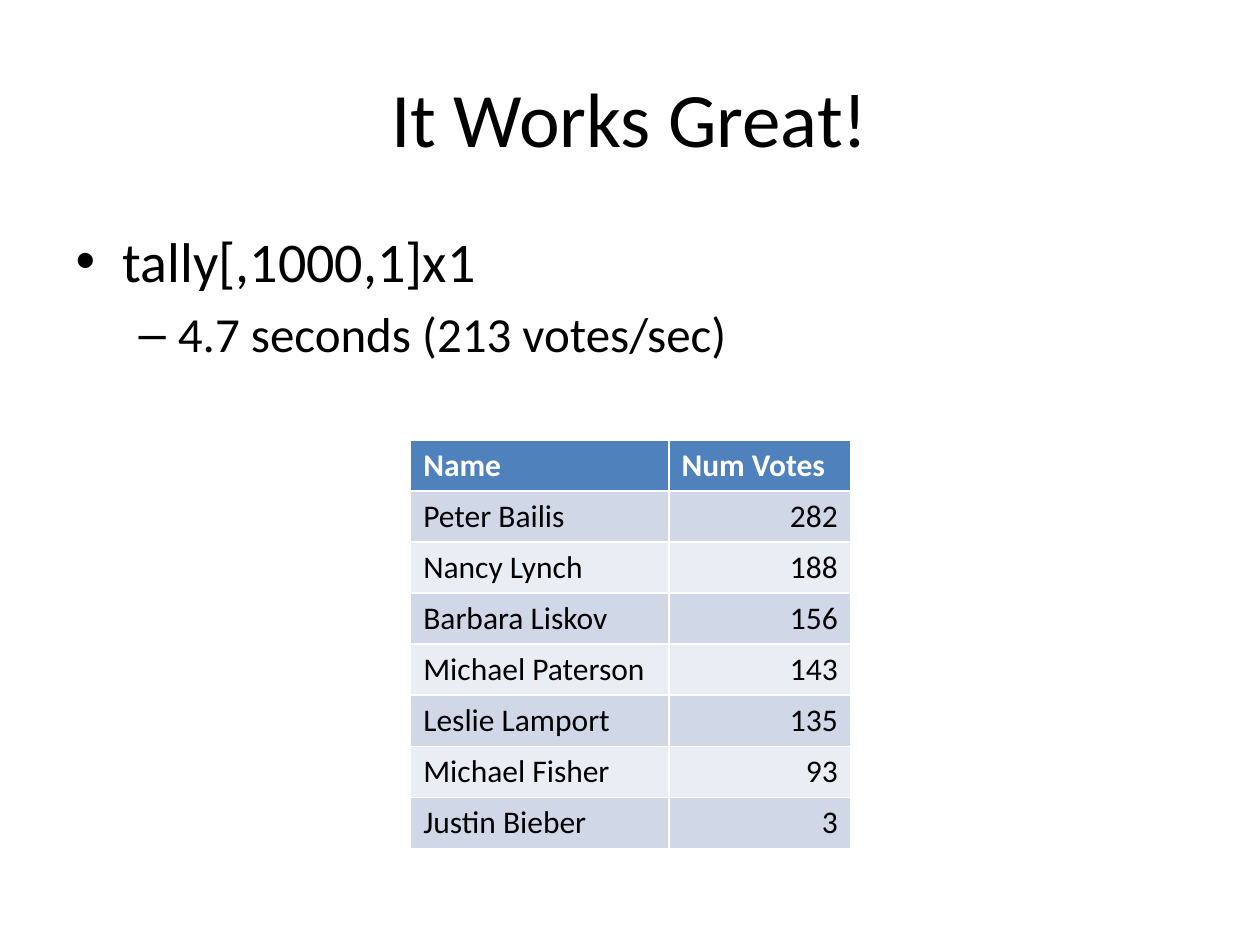
from pptx import Presentation
from pptx.dml.color import RGBColor
from pptx.enum.text import MSO_ANCHOR, PP_ALIGN
from pptx.util import Inches, Pt

BLACK, WHITE = "000000", "FFFFFF"
HEADER_FILL = "4F81BD"
BAND_FILLS = ("D0D8E8", "E9EDF4")
COLUMN_WIDTHS = (2.05, 1.44)
BULLETS = (("tally[,1000,1]x1", 0, 32), ("4.7 seconds (213 votes/sec)", 1, 28))
VOTES = (
    ("Peter Bailis", 282),
    ("Nancy Lynch", 188),
    ("Barbara Liskov", 156),
    ("Michael Paterson", 143),
    ("Leslie Lamport", 135),
    ("Michael Fisher", 93),
    ("Justin Bieber", 3),
)


def color(hex_value):
    """Return the colour for a hex string."""
    return RGBColor.from_string(hex_value)


def place(shape, left, top, width, height):
    """Move and size a shape, in inches."""
    box = {"left": left, "top": top, "width": width, "height": height}
    for name, value in box.items():
        setattr(shape, name, Inches(value))


def write(paragraph, text, size, hex_value=BLACK, bold=False, alignment=None):
    """Put formatted text into a paragraph."""
    run = paragraph.add_run()
    run.text = text
    formats = {"name": "Calibri", "size": Pt(size), "bold": bold}
    for name, value in formats.items():
        setattr(run.font, name, value)
    run.font.color.rgb = color(hex_value)
    paragraph.alignment = alignment


def add_title(slide, text):
    """Fill the title placeholder."""
    title = slide.shapes.title
    place(title, 0.5, 0.3, 9, 1.25)
    title.text_frame.vertical_anchor = MSO_ANCHOR.MIDDLE
    write(title.text_frame.paragraphs[0], text, 44, alignment=PP_ALIGN.CENTER)


def add_bullets(slide, bullets):
    """Fill the body placeholder with a bulleted list."""
    body = slide.placeholders[1]
    place(body, 0.5, 1.75, 9, 1.53)
    frame = body.text_frame
    for index, (text, level, size) in enumerate(bullets):
        paragraph = frame.add_paragraph() if index else frame.paragraphs[0]
        paragraph.level = level
        write(paragraph, text, size)


def fill_cell(cell, text, fill, **formats):
    """Fill a table cell with a colour and text."""
    cell.fill.solid()
    cell.fill.fore_color.rgb = color(fill)
    write(cell.text_frame.paragraphs[0], text, 18, **formats)


def add_votes_table(slide, headers, votes):
    """Add the table of names and vote counts."""
    table = slide.shapes.add_table(
        len(votes) + 1, len(headers),
        Inches(3.26), Inches(3.49), Inches(sum(COLUMN_WIDTHS)), Inches(3.24),
    ).table
    for column, width in zip(table.columns, COLUMN_WIDTHS):
        column.width = Inches(width)
    for index, header in enumerate(headers):
        fill_cell(table.cell(0, index), header, HEADER_FILL, hex_value=WHITE, bold=True)
    for index, (name, count) in enumerate(votes):
        fill = BAND_FILLS[index % 2]
        fill_cell(table.cell(index + 1, 0), name, fill)
        fill_cell(table.cell(index + 1, 1), str(count), fill, alignment=PP_ALIGN.RIGHT)


def main():
    """Build and save the slide."""
    presentation = Presentation()
    presentation.slide_width = Inches(10)
    presentation.slide_height = Inches(7.5)
    slide = presentation.slides.add_slide(presentation.slide_layouts[1])
    add_title(slide, "It Works Great!")
    add_bullets(slide, BULLETS)
    add_votes_table(slide, ("Name", "Num Votes"), VOTES)
    presentation.save("out.pptx")


main()
